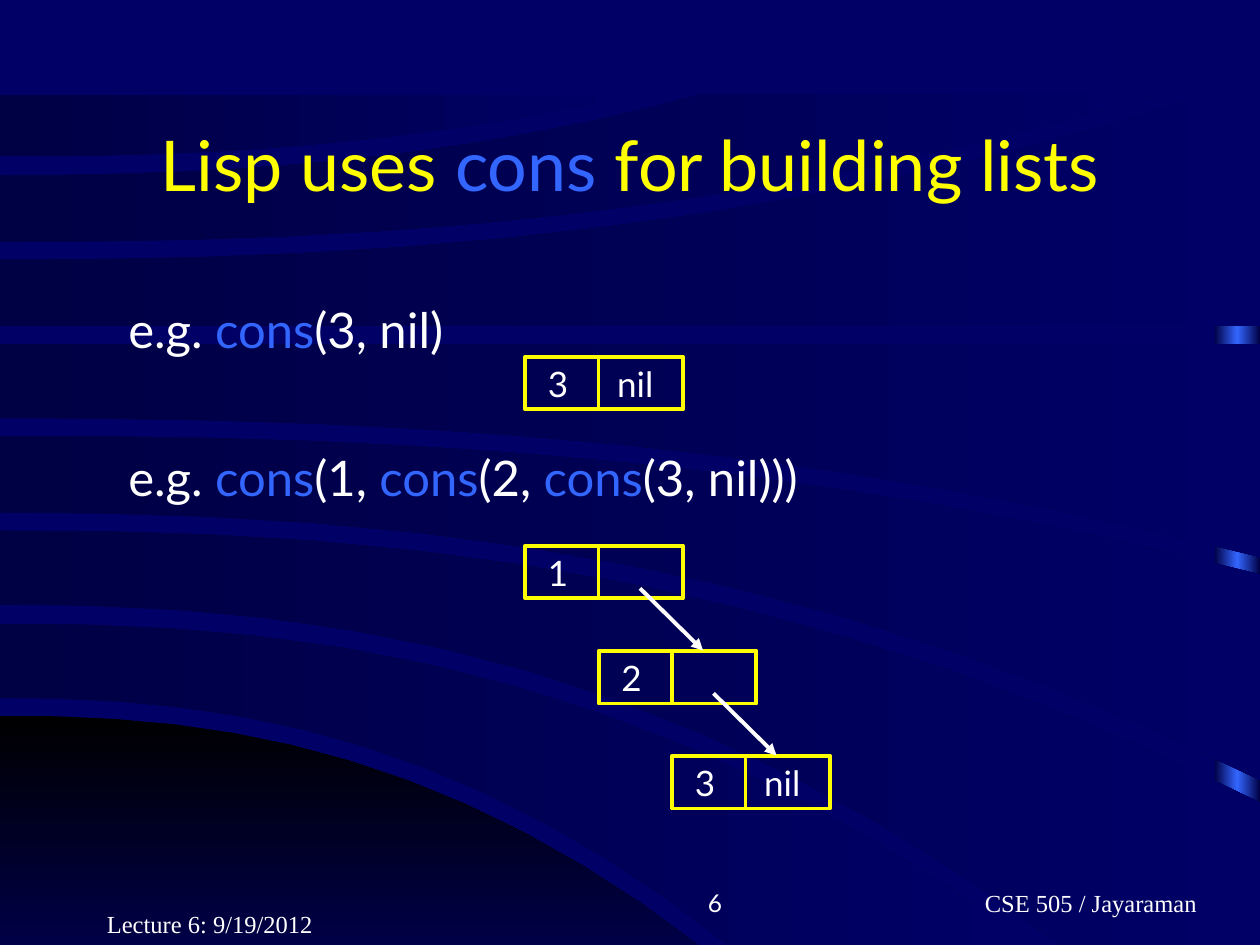
from copy import deepcopy

from lxml.etree import SubElement
from pptx import Presentation
from pptx.dml.color import RGBColor
from pptx.enum.shapes import MSO_CONNECTOR, MSO_SHAPE
from pptx.enum.text import MSO_ANCHOR, MSO_AUTO_SIZE, PP_ALIGN
from pptx.oxml.ns import qn
from pptx.util import Inches, Pt

COLOURS = {
    "navy": "000066", "dark": "000044", "black": "000000", "dusk": "000047",
    "blue": "3366FF", "yellow": "FFFF00", "white": "FFFFFF",
}
WIDTH, HEIGHT, TOP = 10, 7.5, 0.75
CELL_WIDTH, CELL_HEIGHT, DIVIDER = 1.25, 0.42, 0.58
STEP_X, STEP_Y = 7 / 12, 5 / 6
SWEEP, SAMPLES = 2.35, 12

HILL = ((5.68, 5.54, HEIGHT), (HEIGHT, 5.54, HEIGHT))
BANDS = [
    ((4.95, 8.2, HEIGHT), (5.54, 5.78, HEIGHT)),
    ((4.21, WIDTH, 6.37), (4.8, 8.42, HEIGHT)),
    ((3.46, WIDTH, 4.56), (4.07, WIDTH, 6.19)),
    ((2.73, WIDTH, 2.73), (3.32, WIDTH, 4.42)),
    ((2.06, 9.6, TOP), (2.59, WIDTH, 2.59)),
    ((1.39, 5.57, TOP), (1.92, 9.18, TOP)),
    ((TOP, 5.02, TOP), (1.24, 5.02, TOP)),
]


def colour(name):
    return RGBColor.from_string(COLOURS[name])


def apply(target, values):
    for name, value in values.items():
        setattr(target, name, value)


def paint_gradient(shape, names, angle=0):
    shape.shadow.inherit = False
    shape.line.fill.background()
    shape.fill.gradient()
    shape.fill.gradient_angle = angle
    stop_list = next(shape._element.spPr.iter(qn("a:gsLst")))
    for _ in names[2:]:
        stop_list.insert(1, deepcopy(stop_list[0]))
    for index, (stop, name) in enumerate(zip(shape.fill.gradient_stops, names)):
        stop.position = index / (len(names) - 1)
        stop.color.rgb = colour(name)


def trace_edge(start, end_x, end_y):
    shares = [i / SAMPLES for i in range(SAMPLES + 1)]
    return [(end_x * share, start + (end_y - start) * share ** SWEEP) for share in shares]


def add_band(page, edges, names, angle=0):
    upper, lower = [trace_edge(*edge) for edge in edges]
    near, far = sorted([upper[-1], lower[-1]])
    outline = upper + [(far[0], near[1])] + lower[::-1]
    points = [(Inches(x), Inches(y)) for x, y in outline]
    builder = page.shapes.build_freeform(*points[0])
    builder.add_line_segments(points[1:], close=True)
    paint_gradient(builder.convert_to_shape(), names, angle)


def add_backdrop(page):
    page.background.fill.solid()
    page.background.fill.fore_color.rgb = colour("navy")
    strip = page.shapes.add_shape(
        MSO_SHAPE.RECTANGLE, Inches(9.64), Inches(TOP), Inches(0.36), Inches(HEIGHT - TOP))
    paint_gradient(strip, ["dark", "blue", "dark"])
    add_band(page, HILL, ["black", "dusk"], 270)
    for edges in BANDS:
        add_band(page, edges, ["dark", "navy"])


def add_text(page, place, spans, size, font="Lato", align=PP_ALIGN.LEFT, **frame_format):
    box = page.shapes.add_textbox(*map(Inches, place))
    apply(box.text_frame, {"word_wrap": True, **frame_format})
    para = box.text_frame.paragraphs[0]
    para.alignment = align
    for text, name in spans:
        span = para.add_run()
        span.text = text
        apply(span.font, {"size": Pt(size), "name": font})
        span.font.color.rgb = colour(name)


def add_expression(page, top, text):
    spans = [("e.g. ", "white")]
    for piece in text.split("cons")[1:]:
        spans += [("cons", "blue"), (piece, "white")]
    add_text(page, (0.92, top, 6.42, 0.57), spans, 28,
             auto_size=MSO_AUTO_SIZE.SHAPE_TO_FIT_TEXT)


def add_line(page, start, end, name, arrow=False):
    line = page.shapes.add_connector(
        MSO_CONNECTOR.STRAIGHT, *map(Inches, start + end))
    line.line.color.rgb = colour(name)
    line.line.width = Pt(2.25)
    if arrow:
        SubElement(line.line._get_or_add_ln(), qn("a:tailEnd"), type="triangle")
    SubElement(line._element.spPr, qn("a:effectLst"))


def add_cell(page, left, top, head, tail=""):
    box = page.shapes.add_shape(
        MSO_SHAPE.RECTANGLE, *map(Inches, (left, top, CELL_WIDTH, CELL_HEIGHT)))
    box.shadow.inherit = False
    box.fill.background()
    box.line.color.rgb = colour("yellow")
    box.line.width = Pt(2.25)
    middle = left + DIVIDER
    add_line(page, (middle, top), (middle, top + CELL_HEIGHT), "yellow")
    for text, offset, width in ((head, 0.08, 0.36), (tail, 0.63, 0.51)):
        if text:
            add_text(page, (left + offset, top, width, 0.44), [(text, "white")], 20,
                     word_wrap=False, auto_size=MSO_AUTO_SIZE.SHAPE_TO_FIT_TEXT)


def add_chain(page, left, top, cells):
    places = [(left + STEP_X * i, top + STEP_Y * i) for i in range(len(cells))]
    for place, cell in zip(places, cells):
        add_cell(page, *place, *cell)
    for x, y in places[:-1]:
        add_line(page, (x + 0.91, y + 0.34), (x + 1.41, y + STEP_Y), "white", arrow=True)


def add_footers(page):
    footers = [
        ((0.75, 7, 2.08, 0.5), "Lecture 6: 9/19/2012", "Times New Roman", PP_ALIGN.LEFT, 0.1),
        ((3.75, 6.83, 2.08, 0.5), "6", "Lato", PP_ALIGN.RIGHT, 0.1),
        ((6.58, 6.83, 3.17, 0.5), "CSE 505 / Jayaraman", "Times New Roman",
         PP_ALIGN.RIGHT, 0.25),
    ]
    for place, text, font, align, margin in footers:
        add_text(page, place, [(text, "white")], 14, font, align,
                 vertical_anchor=MSO_ANCHOR.BOTTOM, margin_right=Inches(margin))


def main():
    deck = Presentation()
    apply(deck, {"slide_width": Inches(WIDTH), "slide_height": Inches(HEIGHT)})
    page = deck.slides.add_slide(deck.slide_layouts[6])
    add_backdrop(page)
    title = [("Lisp uses ", "yellow"), ("cons", "blue"), (" for building lists", "yellow")]
    add_text(page, (0.75, 0.67, 8.5, 1.25), title, 40, align=PP_ALIGN.CENTER,
             vertical_anchor=MSO_ANCHOR.MIDDLE)
    add_expression(page, 2.33, "cons(3, nil)")
    add_expression(page, 3.5, "cons(1, cons(2, cons(3, nil)))")
    add_chain(page, 4.17, 2.83, [("3", "nil")])
    add_chain(page, 4.17, 4.33, [("1",), ("2",), ("3", "nil")])
    add_footers(page)
    deck.save("out.pptx")


if __name__ == "__main__":
    main()
